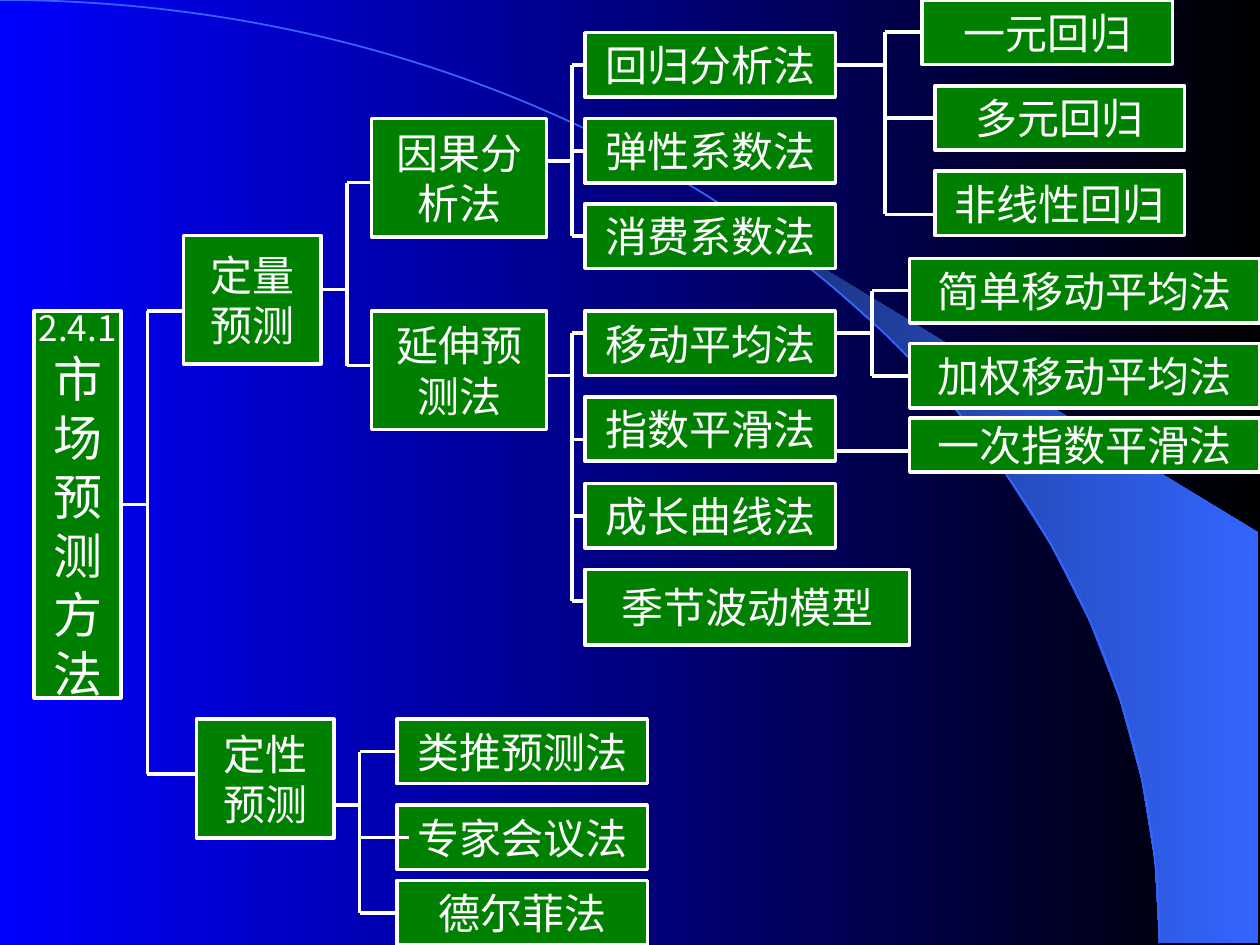
from math import cos, radians, sin

from lxml import etree
from pptx import Presentation
from pptx.dml.color import RGBColor
from pptx.enum.shapes import MSO_CONNECTOR, MSO_SHAPE
from pptx.enum.text import MSO_ANCHOR, PP_ALIGN
from pptx.oxml.ns import qn
from pptx.util import Cm, Pt

RECTANGLE = MSO_SHAPE.RECTANGLE
STRAIGHT = MSO_CONNECTOR.STRAIGHT
MIDDLE = MSO_ANCHOR.MIDDLE
CENTER = PP_ALIGN.CENTER
LEFT_SIDE, RIGHT_SIDE = 1, 3
FONT = "Noto Sans CJK SC"
rgb = RGBColor.from_string

prs = Presentation()
prs.slide_width, prs.slide_height = Cm(25.4), Cm(19.05)
slide = prs.slides.add_slide(prs.slide_layouts[6])
shapes = slide.shapes


def set_gradient(fill, start, end):
    fill.gradient()
    fill.gradient_angle = 0
    for stop, position, color in zip(fill.gradient_stops, (0, 1), (start, end)):
        stop.position = position
        stop.color.rgb = rgb(color)


def add_line(x1, y1, x2, y2):
    line = shapes.add_connector(STRAIGHT, x1, y1, x2, y2)
    line.line.color.rgb = rgb("FFFFFF")
    line.line.width = Pt(2)
    etree.SubElement(line._element.spPr, qn("a:effectLst"))
    return line


# Background and the sweep along a quarter ellipse
set_gradient(slide.background.fill, "0000FF", "000000")
arc_width, arc_height = 23.37, 19.02
arc = [(Cm(arc_width * sin(radians(a))), Cm(arc_height * (1 - cos(radians(a)))))
       for a in range(40, 91, 5)]
sweep_builder = shapes.build_freeform(*arc[0], scale=1.0)
sweep_builder.add_line_segments(
    arc[1:] + [(Cm(25.37), Cm(arc_height)), (Cm(25.37), Cm(10.74))], close=True)
sweep = sweep_builder.convert_to_shape()
set_gradient(sweep.fill, "182F76", "3366FF")
sweep.line.fill.background()
sweep.shadow.inherit = False

edge_builder = shapes.build_freeform(0, 0, scale=1.0)
edge_builder.add_line_segments([(Cm(arc_width), Cm(arc_height))], close=False)
edge = edge_builder.convert_to_shape()
edge.fill.background()
edge.line.color.rgb = rgb("3366FF")
edge.line.width = Pt(1)
edge.shadow.inherit = False

# Bend the edge into one Bezier curve by adding its two control points
curve = next(edge._element.iter(qn("a:lnTo")))
curve.tag = qn("a:cubicBezTo")
for index, (x, y) in enumerate([(12.9, 0), (arc_width, 8.51)]):
    control = etree.Element(qn("a:pt"), x=str(int(Cm(x))), y=str(int(Cm(y))))
    curve.insert(index, control)

# Methods: text, left, top, width, height in cm
root = "2.4.1\n市\n场\n预\n测\n方\n法"
quantitative, qualitative = "定量\n预测", "定性\n预测"
causal, extension = "因果分\n析法", "延伸预\n测法"
methods = [
    (root, 0.69, 6.27, 1.75, 7.8),
    (quantitative, 3.7, 4.75, 2.77, 2.59),
    (qualitative, 3.96, 14.5, 2.77, 2.39),
    (causal, 7.49, 2.39, 3.53, 2.39),
    (extension, 7.49, 6.27, 3.53, 2.39),
    ("回归分析法", 11.79, 0.66, 5.05, 1.3),
    ("弹性系数法", 11.79, 2.39, 5.05, 1.3),
    ("消费系数法", 11.79, 4.11, 5.05, 1.3),
    ("移动平均法", 11.79, 6.27, 5.05, 1.3),
    ("指数平滑法", 11.79, 8, 5.05, 1.3),
    ("成长曲线法", 11.79, 9.75, 5.05, 1.3),
    ("季节波动模型", 11.79, 11.48, 6.55, 1.52),
    ("类推预测法", 8, 14.5, 5.05, 1.3),
    ("专家会议法", 8, 16.23, 5.05, 1.3),
    ("德尔菲法", 8, 17.75, 5.05, 1.3),
    ("一元回归", 18.59, 0, 5.05, 1.3),
    ("多元回归", 18.85, 1.73, 5.03, 1.3),
    ("非线性回归", 18.85, 3.45, 5.03, 1.3),
    ("简单移动平均法", 18.34, 5.21, 7.06, 1.3),
    ("加权移动平均法", 18.34, 6.93, 7.06, 1.3),
    ("一次指数平滑法", 18.34, 8.43, 7.06, 1.09),
]
boxes = {}
for text, *place in methods:
    box = shapes.add_shape(RECTANGLE, *map(Cm, place))
    box.shadow.inherit = False
    box.fill.solid()
    box.fill.fore_color.rgb = rgb("008000")
    box.line.color.rgb = rgb("FFFFFF")
    box.line.width = Pt(2)
    frame = box.text_frame
    frame.word_wrap = False
    frame.vertical_anchor = MIDDLE
    frame.text = text
    for index, paragraph in enumerate(frame.paragraphs):
        paragraph.alignment = CENTER
        font = paragraph.runs[0].font
        font.size = Pt(24 if text != root else 28 if index else 20)
        font.color.rgb = rgb("FFFFFF")
        font.name = FONT
        east_asian = etree.SubElement(font._element, qn("a:ea"))
        east_asian.set("typeface", FONT)
    boxes[text] = box

# Brackets: parent, stem height, trunk position, branches in cm
# A height or an end of None means the middle of the box's side
brackets = [
    (root, None, 2.97, [(quantitative, (3.7, 6.27)), (qualitative, (3.96, 15.6))]),
    (quantitative, 5.84, 7, [(causal, (7.49, 3.68)), (extension, (7.49, 7.37))]),
    (qualitative, 16.23, 7.25,
     [("类推预测法", None), ("专家会议法", (8.25, 16.88)), ("德尔菲法", None)]),
    (causal, 3.25, 11.53,
     [("回归分析法", None), ("弹性系数法", None), ("消费系数法", None)]),
    (extension, 7.57, 11.53,
     [("移动平均法", (11.79, 6.71)), ("指数平滑法", (11.79, 8.86)),
      ("成长曲线法", None), ("季节波动模型", (11.79, 12.12))]),
    ("回归分析法", None, 17.84,
     [("一元回归", None), ("多元回归", None), ("非线性回归", (18.85, 4.32))]),
    ("移动平均法", 6.71, 17.58,
     [("简单移动平均法", None), ("加权移动平均法", None)]),
]
for parent, stem_height, trunk_at, branches in brackets:
    box, trunk_x = boxes[parent], Cm(trunk_at)
    stem_y = box.top + box.height // 2 if stem_height is None else Cm(stem_height)
    stem = add_line(box.left + box.width, stem_y, trunk_x, stem_y)
    if stem_height is None:
        stem.begin_connect(box, RIGHT_SIDE)

    branch_heights = []
    for child, end in branches:
        box = boxes[child]
        if end is None:
            end_x, end_y = box.left, box.top + box.height // 2
        else:
            end_x, end_y = map(Cm, end)
        branch = add_line(trunk_x, end_y, end_x, end_y)
        if end is None:
            branch.end_connect(box, LEFT_SIDE)
        branch_heights.append(end_y)
    add_line(trunk_x, min(branch_heights), trunk_x, max(branch_heights))

# Single link from exponential smoothing to its first-order form
add_line(Cm(16.84), Cm(9.09), Cm(18.34), Cm(9.09))

prs.save("out.pptx")
